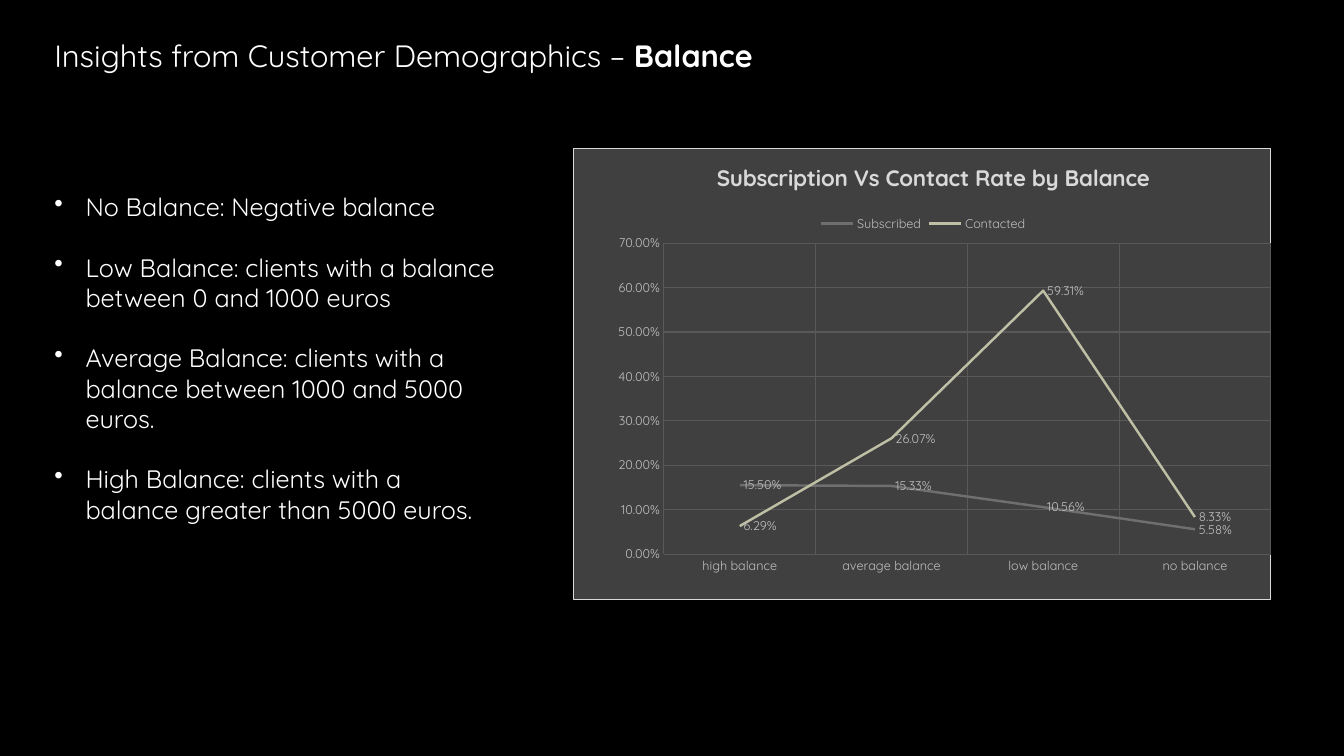
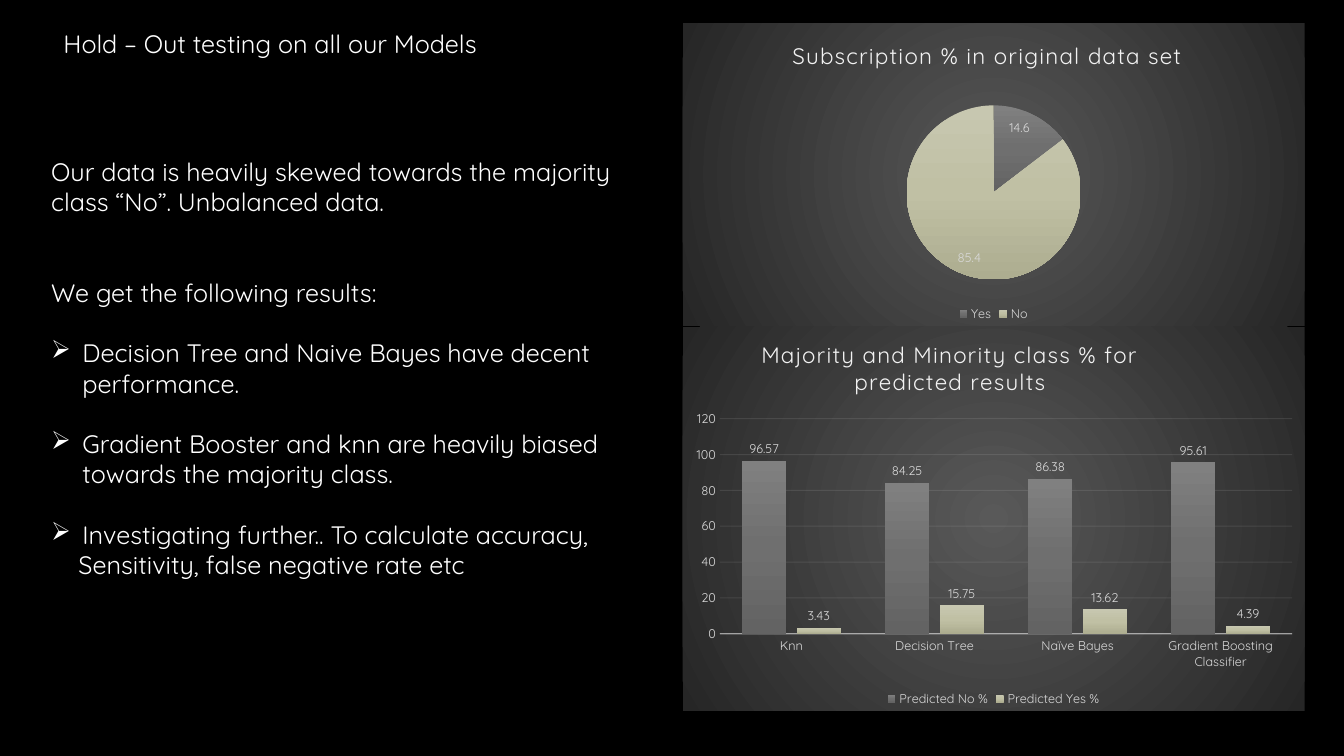
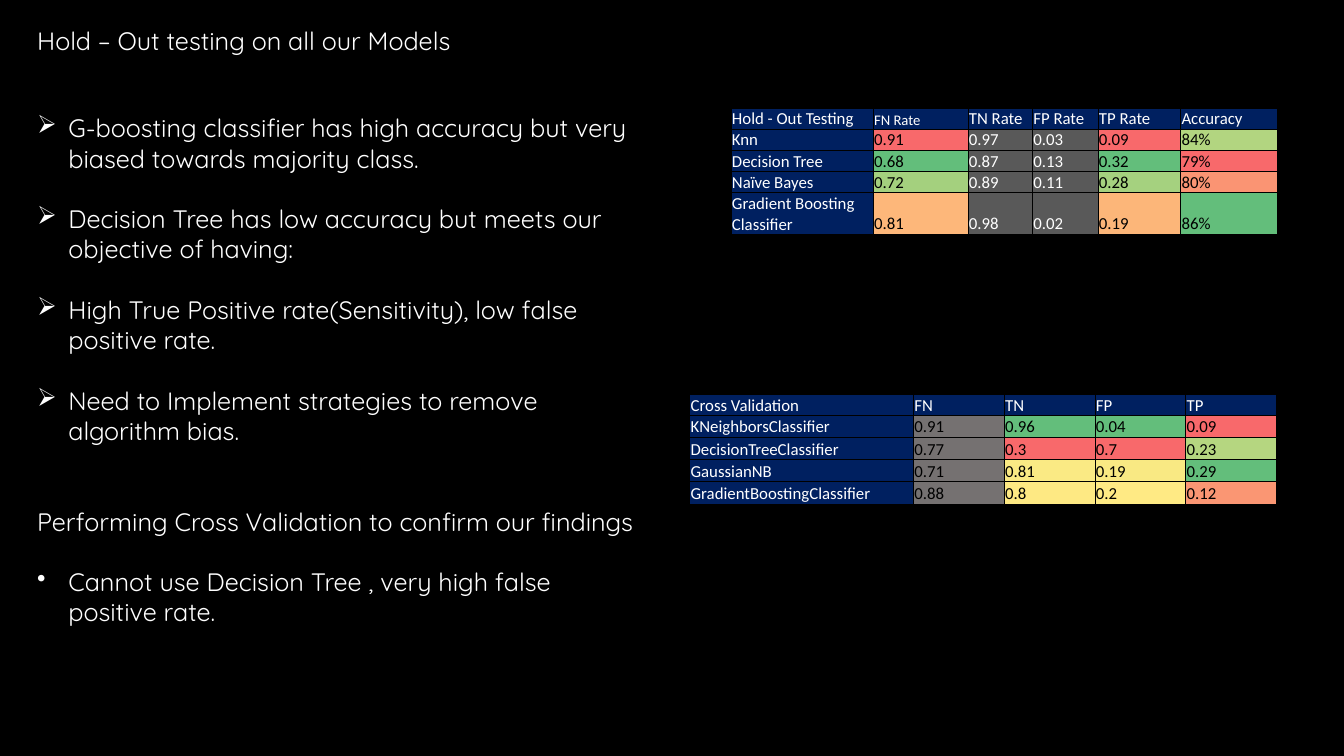
from lxml import etree
from pptx import Presentation
from pptx.chart.data import CategoryChartData
from pptx.dml.color import RGBColor
from pptx.enum import chart as ch, text as tx
from pptx.oxml import parse_xml
from pptx.oxml.ns import nsdecls, qn
from pptx.util import Inches, Pt

FONT = "Quicksand"
WHITE, BLACK, PALE, SILVER = "FFFFFF", "000000", "F2F2F2", "D9D9D9"
ASH, NAVY, SLATE, SMOKE = "BFBFBF", "002060", "595959", "757171"
PANEL = ["595959", "262626"]
GRAY = ["808080", "6F6F6F", "636363"]
SAND = ["C7C7B0", "C0C0A4", "ADAD90"]
LINE = 21.6  # height of one line of body text, points
STEP = 0.31  # hanging indent, inches
HOLD = "Hold – Out testing on all our Models"


def rgb(code):
    return RGBColor.from_string(code)


def style(font, size, color, name=FONT, bold=False):
    font.size, font.name, font.bold = Pt(size), name, bold
    font.color.rgb = rgb(color)


# ---- text ----

def add_box(slide, box):
    frame = slide.shapes.add_textbox(*map(Inches, box)).text_frame
    frame.word_wrap = True
    return frame


def add_run(para, words, size=18, **look):
    run = para.add_run()
    run.text = words
    style(run.font, size, WHITE, **look)


def add_head(slide, box, words, size=18, strong=""):
    para = add_box(slide, box).paragraphs[0]
    add_run(para, words, size)
    if strong:
        add_run(para, strong, size, bold=True)


def indent(para, left, mark=""):
    props = para._p.get_or_add_pPr()
    props.set("marL", str(Inches(left)))
    if mark:
        props.set("indent", str(-Inches(left)))
        etree.SubElement(props, qn("a:buChar")).set("char", mark)


def add_body(slide, box, items):
    """Each item is (lines of space before, bullet, text)."""
    frame = add_box(slide, box)
    for i, (gap, mark, words) in enumerate(items):
        para = frame.add_paragraph() if i else frame.paragraphs[0]
        para.space_before = Pt(gap * LINE)
        add_run(para, words)
        if mark:
            indent(para, STEP, mark)
        elif gap == 0 and i:
            indent(para, 0.27)


# ---- charts ----

def grad(colors, tail):
    last = len(colors) - 1
    stops = "".join(
        f'<a:gs pos="{100000 * i // last}"><a:srgbClr val="{c}"/></a:gs>'
        for i, c in enumerate(colors))
    return parse_xml(f'<a:gradFill {nsdecls("a")} rotWithShape="1">'
                     f'<a:gsLst>{stops}</a:gsLst>{tail}</a:gradFill>')


def shade(host, colors):
    host.get_or_add_spPr().insert(
        0, grad(colors, '<a:lin ang="5400000" scaled="0"/>'))


def add_back(chart, fill, border=""):
    """Fill the chart area with the given fill element."""
    props = parse_xml(f'<c:spPr {nsdecls("c", "a")}/>')
    props.append(fill)
    edge = (f'<a:solidFill><a:srgbClr val="{border}"/></a:solidFill>'
            if border else "<a:noFill/>")
    props.append(parse_xml(f'<a:ln {nsdecls("a")} w="9525">{edge}</a:ln>'))
    chart.element.find(qn("c:chart")).addnext(props)


def radial():
    return grad(PANEL, '<a:path path="circle"><a:fillToRect l="50000" '
                't="50000" r="50000" b="50000"/></a:path>')


def flat(color):
    return parse_xml(f'<a:solidFill {nsdecls("a")}>'
                     f'<a:srgbClr val="{color}"/></a:solidFill>')


def place(host, spot, after=""):
    """Give a chart part a fixed place, in fractions of the chart."""
    for old in host.findall(qn("c:layout")):
        host.remove(old)
    inner = '<c:layoutTarget val="inner"/>' if len(spot) == 4 else ""
    modes = '<c:xMode val="edge"/><c:yMode val="edge"/>'
    vals = "".join(f'<c:{k} val="{v}"/>' for k, v in zip("xywh", spot))
    part = parse_xml(f'<c:layout {nsdecls("c")}><c:manualLayout>{inner}'
                     f'{modes}{vals}</c:manualLayout></c:layout>')
    if after:
        host.find(qn(after)).addnext(part)
    else:
        host.insert(0, part)


def square(chart):
    root = chart.element
    if root.find(qn("c:roundedCorners")) is None:
        flag = parse_xml(f'<c:roundedCorners {nsdecls("c")} val="0"/>')
        date = root.find(qn("c:date1904"))
        root.insert(0 if date is None else 1, flag)


def add_chart(slide, box, kind, cats, rows, title, spots, tint=SILVER,
              fmt="General", legend=ch.XL_LEGEND_POSITION.BOTTOM,
              spot=None, bold=False):
    """Spots are the places of the title and of the plot."""
    data = CategoryChartData(number_format=fmt)
    data.categories = cats
    for name, vals in rows:
        data.add_series(name, vals)
    chart = slide.shapes.add_chart(kind, *map(Inches, box), data).chart
    square(chart)
    style(chart.font, 10, WHITE)
    chart.has_title = True
    run = chart.chart_title.text_frame.paragraphs[0].add_run()
    run.text = title
    style(run.font, 16, SILVER if bold else PALE, bold=bold)
    if not bold:
        run._r.get_or_add_rPr().set("spc", "100")
    place(chart.chart_title._element, spots[0], "c:tx")
    place(chart.element.find(".//" + qn("c:plotArea")), spots[1])

    chart.has_legend = True
    chart.legend.position = legend
    chart.legend.include_in_layout = False
    style(chart.legend.font, 9, tint)
    if spot:
        place(chart.legend._element, spot, "c:legendPos")
    for row in chart.plots[0].series:
        labels = row.data_labels
        labels.show_value = True
        labels.number_format, labels.number_format_is_linked = fmt, False
        style(labels.font, 9, tint)
    return chart


def ink(line, color, width, alpha=100):
    line.color.rgb, line.width = rgb(color), Pt(width)
    if alpha < 100:
        tone = next(line._get_or_add_ln().iter(qn("a:srgbClr")))
        etree.SubElement(tone, qn("a:alpha")).set("val", str(alpha * 1000))


def set_axes(chart, tint):
    for axis in (chart.category_axis, chart.value_axis):
        axis.major_tick_mark = axis.minor_tick_mark = ch.XL_TICK_MARK.NONE
        style(axis.tick_labels.font, 9, tint)
        axis.format.line.fill.background()


def add_lines(slide, box):
    rows = [("Subscribed", (0.155, 0.1533, 0.1056, 0.0558)),
            ("Contacted", (0.0629, 0.2607, 0.5931, 0.0833))]
    chart = add_chart(
        slide, box, ch.XL_CHART_TYPE.LINE,
        ["high balance", "average balance", "low balance", "no balance"],
        rows, "Subscription Vs Contact Rate by Balance",
        [(0.2, 0.02), (0.13, 0.21, 0.87, 0.69)], ASH, "0.00%",
        ch.XL_LEGEND_POSITION.TOP, (0.35, 0.14), True)
    add_back(chart, flat("404040"), SILVER)
    set_axes(chart, ASH)
    for axis in (chart.category_axis, chart.value_axis):
        axis.has_major_gridlines = True
        ink(axis.major_gridlines.format.line, SLATE, 0.75)
    for row, color in zip(chart.plots[0].series, ("6F6F6F", "BFBFA5")):
        row.smooth = False
        ink(row.format.line, color, 1.75)
        row.data_labels.position = ch.XL_LABEL_POSITION.RIGHT


def add_pie(slide, box):
    chart = add_chart(
        slide, box, ch.XL_CHART_TYPE.PIE, ["Yes", "No"],
        [("Series 1", (14.6, 85.4))], "Subscription % in original data set",
        [(0.17, 0.04), (0.36, 0.27, 0.28, 0.58)])
    add_back(chart, radial())
    plot = chart.plots[0]
    plot.vary_by_categories = True
    row = plot.series[0]
    row.data_labels.position = ch.XL_LABEL_POSITION.INSIDE_END
    for i, colors in enumerate((GRAY, SAND)):
        shade(row._element.get_or_add_dPt_for_point(i), colors)


def add_bars(slide, box):
    rows = [("Predicted No %", (96.57, 84.25, 86.38, 95.61)),
            ("Predicted Yes %", (3.43, 15.75, 13.62, 4.39))]
    chart = add_chart(
        slide, box, ch.XL_CHART_TYPE.COLUMN_CLUSTERED,
        ["Knn", "Decision Tree", "Naïve Bayes",
         "Gradient Boosting Classifier"],
        rows, "Majority and Minority class % for predicted results",
        [(0.12, 0.02), (0.06, 0.24, 0.92, 0.56)])
    add_back(chart, radial())
    set_axes(chart, SILVER)
    ink(chart.category_axis.format.line, PALE, 1, 54)
    ink(chart.value_axis.major_gridlines.format.line, PALE, 0.75, 10)
    plot = chart.plots[0]
    plot.vary_by_categories = False
    plot.gap_width, plot.overlap = 100, -24
    for row, colors in zip(plot.series, (GRAY, SAND)):
        shade(row._element, colors)
        row.data_labels.position = ch.XL_LABEL_POSITION.OUTSIDE_END


# ---- tables ----

def fill_cell(cell, words, color, size):
    cell.fill.solid()
    cell.fill.fore_color.rgb = rgb(color)
    cell.vertical_anchor = tx.MSO_ANCHOR.BOTTOM
    cell.margin_left = cell.margin_right = cell.margin_top = Inches(0.01)
    cell.margin_bottom = 0
    run = cell.text_frame.paragraphs[0].add_run()
    run.text = words
    style(run.font, size, WHITE if color in (NAVY, SLATE) else BLACK,
          "Calibri")
    props = cell._tc.get_or_add_tcPr()
    for i, side in enumerate("LRTB"):
        edge = parse_xml(f'<a:ln{side} {nsdecls("a")} w="6350"/>')
        edge.append(flat(BLACK))
        props.insert(i, edge)


def add_table(slide, box, widths, heights, head, rows):
    """Each row is (label, values, fills); values and fills are spaced."""
    grid = slide.shapes.add_table(len(heights), len(widths),
                                  *map(Inches, box)).table
    grid.first_row = grid.horz_banding = False
    for col, width in zip(grid.columns, widths):
        col.width = Inches(width)
    for row, height in zip(grid.rows, heights):
        row.height = Inches(height)
    for c, words in enumerate(head):
        fill_cell(grid.cell(0, c), words, NAVY,
                  10.5 if words == "FN Rate" else 12)
    for r, (label, vals, fills) in enumerate(rows, 1):
        cells = zip([label] + vals.split(), [NAVY] + fills.split())
        for c, (words, color) in enumerate(cells):
            fill_cell(grid.cell(r, c), words, color, 12)


# ---- slides ----

def show_balance(slide):
    add_head(slide, (0.44, 0.32, 8.42, 0.47),
             "Insights from Customer Demographics – ", 22, "Balance")
    add_body(slide, (0.44, 1.85, 4.59, 3.74), [
        (0, "•", "No Balance: Negative balance"),
        (1, "•", "Low Balance: clients with a balance between 0 and "
                 "1000 euros"),
        (1, "•", "Average Balance: clients with a balance between 1000 "
                 "and 5000 euros."),
        (1, "•", "High Balance: clients with a balance greater than "
                 "5000 euros.")])
    add_lines(slide, (5.68, 1.47, 6.93, 4.48))


def show_skew(slide):
    add_pie(slide, (6.77, 0.23, 6.17, 3))
    add_body(slide, (0.41, 1.5, 6.2, 5.55), [
        (0, "", "Our data is heavily skewed towards the majority class "
                "“No”. Unbalanced data."),
        (2, "", "We get the following results:"),
        (1, "➢", "Decision Tree and Naive Bayes have decent performance."),
        (1, "➢", "Gradient Booster and knn are heavily biased towards the "
                 "majority class."),
        (1, "➢", "Investigating further.. To calculate accuracy,"),
        (0, "", "Sensitivity, false negative rate etc")])
    add_bars(slide, (6.77, 3.24, 6.17, 3.81))
    add_head(slide, (0.53, 0.23, 4.92, 0.71), HOLD)


def show_rates(slide):
    add_table(
        slide, (7.25, 1.07, 5.42, 1.25),
        [1.41, 0.94, 0.64, 0.65, 0.82, 0.96], [0.2] * 4 + [0.39],
        ["Hold - Out Testing", "FN Rate", "TN Rate", "FP Rate", "TP Rate",
         "Accuracy"],
        [("Knn", "0.91 0.97 0.03 0.09 84%",
          f"F8696B {SLATE} {SLATE} F8696B B2D580"),
         ("Decision Tree", "0.68 0.87 0.13 0.32 79%",
          f"63BE7B {SLATE} {SLATE} 63BE7B F8696B"),
         ("Naïve Bayes", "0.72 0.89 0.11 0.28 80%",
          f"A4D07E {SLATE} {SLATE} A5D17F FA9473"),
         ("Gradient Boosting Classifier", "0.81 0.98 0.02 0.19 86%",
          f"FDB77A {SLATE} {SLATE} FCB679 63BE7B")])
    add_body(slide, (0.27, 1.07, 6.17, 6.46), [
        (0, "➢", "G-boosting classifier has high accuracy but very biased "
                 "towards majority class."),
        (1, "➢", "Decision Tree has low accuracy but meets our objective "
                 "of having:"),
        (1, "➢", "High True Positive rate(Sensitivity), low false positive "
                 "rate."),
        (1, "➢", "Need to Implement strategies to remove algorithm bias."),
        (2, "", "Performing Cross Validation to confirm our findings"),
        (1, "•", "Cannot use Decision Tree , very high false positive "
                 "rate.")])
    add_head(slide, (0.27, 0.2, 5.17, 0.71), HOLD)
    add_table(
        slide, (6.84, 3.91, 5.83, 1.1),
        [2.22] + [0.9] * 4, [0.14] + [0.22] * 4,
        ["Cross Validation", "FN", "TN", "FP", "TP"],
        [("KNeighborsClassifier", "0.91 0.96 0.04 0.09",
          f"{SMOKE} 63BE7B 63BE7B F8696B"),
         ("DecisionTreeClassifier", "0.77 0.3 0.7 0.23",
          f"{SMOKE} F8696B F8696B B5D680"),
         ("GaussianNB", "0.71 0.81 0.19 0.29",
          f"{SMOKE} FAEA84 F9E983 63BE7B"),
         ("GradientBoostingClassifier", "0.88 0.8 0.2 0.12",
          f"{SMOKE} FEE983 FFEA84 FA9673")])


def main():
    deck = Presentation()
    deck.slide_width, deck.slide_height = Inches(13.33), Inches(7.5)
    back = deck.slide_master.background.fill
    back.solid()
    back.fore_color.rgb = rgb(BLACK)
    for show in (show_balance, show_skew, show_rates):
        show(deck.slides.add_slide(deck.slide_layouts[6]))
    deck.save("out.pptx")


if __name__ == "__main__":
    main()
